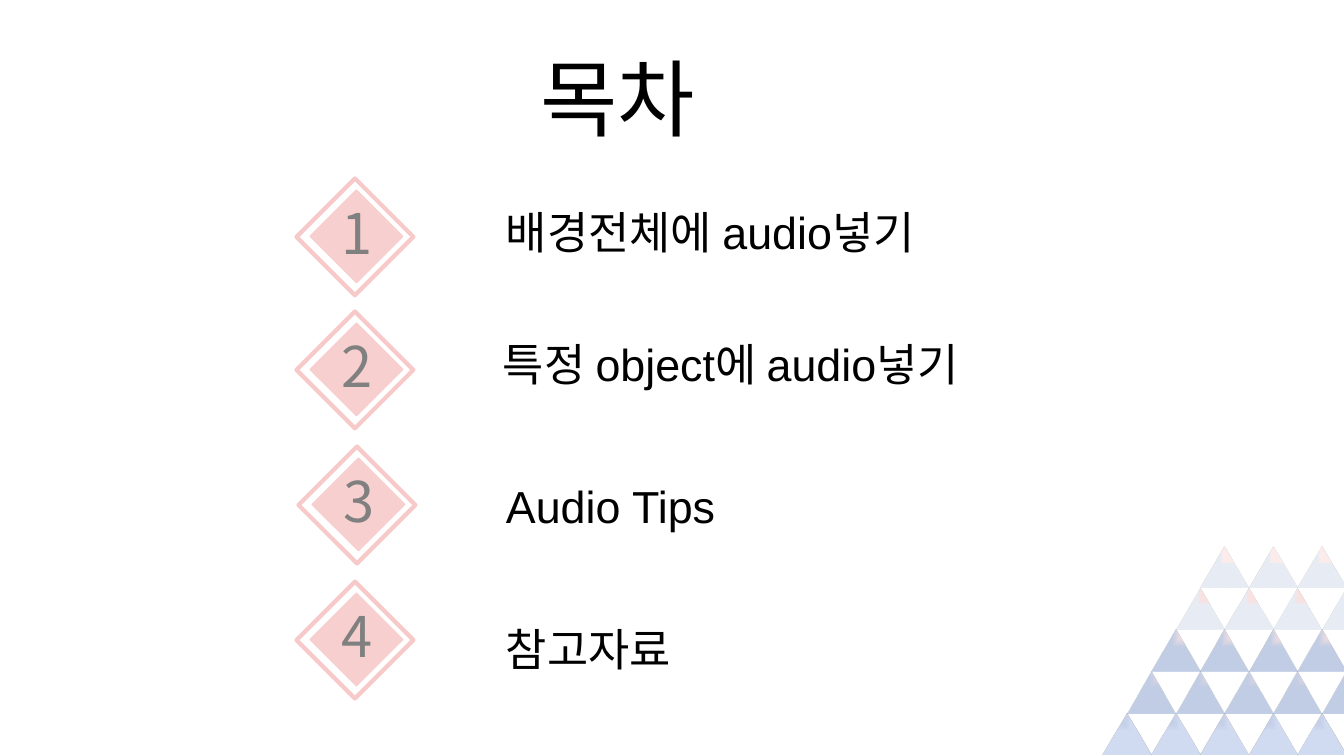
"""Build a contents slide with four numbered diamonds and a triangle corner."""
from lxml.etree import SubElement
from pptx import Presentation
from pptx.dml.color import RGBColor
from pptx.enum.shapes import MSO_SHAPE
from pptx.enum.text import MSO_ANCHOR
from pptx.oxml.ns import qn
from pptx.util import Inches, Pt

BLACK = RGBColor(0x00, 0x00, 0x00)
GRAY = RGBColor(0x80, 0x80, 0x80)
ROSE = RGBColor(0xF7, 0xCA, 0xC9)
ROSE_EDGE = RGBColor(0xF8, 0xCF, 0xCF)
ROSE_SOFT = RGBColor(0xF9, 0xD5, 0xD4)
ROSE_PALE = RGBColor(0xFA, 0xDD, 0xDC)
BLUE = RGBColor(0xA8, 0xB9, 0xDA)
BLUE_SOFT = RGBColor(0xD1, 0xDB, 0xF2)
BLUE_PALE = RGBColor(0xD9, 0xE1, 0xEF)

KOREAN_FONT = "Noto Sans CJK KR"
TITLE_FORMAT = {"size": Pt(60), "name": "Arial"}
ENTRY_FORMAT = {"size": Pt(32), "name": "Arial"}
NUMBER_FORMAT = {"size": Pt(40), "name": KOREAN_FONT}

TITLE = ("목차", 5.26, 0.41, 2.6, 1.11)
ENTRIES = [
    ("배경전체에 audio넣기", 4.92, 1.98, 3.11, 1.94),
    ("특정 object에 audio넣기", 4.89, 3.29, 3.11, 3.26),
    ("Audio Tips", 4.92, 4.7, 3.13, 4.6),
    ("참고자료", 4.92, 6.11, 3.11, 5.94),
]
TOP_LEFT = {"l": 0, "t": 0, "r": 100, "b": 100}
TOP_RIGHT = {"l": 100, "t": 0, "r": 0, "b": 100}
TRIANGLE_ROWS = [
    (5, TOP_LEFT, [(0, ROSE, 100), (45, BLUE, 70), (100, BLUE_SOFT, 100)]),
    (5, TOP_RIGHT, [(0, ROSE_SOFT, 70), (91, BLUE, 70)]),
    (4, TOP_RIGHT, [(51, ROSE_SOFT, 70), (100, BLUE, 70)]),
    (4, TOP_RIGHT, [(78, ROSE_SOFT, 70), (100, BLUE_PALE, 60)]),
    (3, TOP_RIGHT, [(94, ROSE_PALE, 55), (100, BLUE_PALE, 60)]),
]
TRIANGLE_LEFT, TRIANGLE_TOP = 10.94, 7.08
TRIANGLE_WIDTH, TRIANGLE_HEIGHT = 0.48, 0.41
COLUMN_STEP, ROW_STEP = 0.48, 0.41


def percent(value):
    return str(value * 1000)


def add_text(shapes, text, left, top, width, height, color, format_values):
    box = shapes.add_textbox(*map(Inches, (left, top, width, height)))
    frame = box.text_frame
    frame.word_wrap = True
    frame.vertical_anchor = MSO_ANCHOR.MIDDLE
    span = frame.paragraphs[0].add_run()
    span.text = text
    span.font.color.rgb = color
    for name, value in format_values.items():
        setattr(span.font, name, value)
    SubElement(span.font._element, qn("a:ea"), typeface=KOREAN_FONT)


def add_plain_shape(shapes, kind, left, top, width, height):
    shape = shapes.add_shape(kind, *map(Inches, (left, top, width, height)))
    shape.shadow.inherit = False
    return shape


def add_diamond(shapes, left, top, size, edge, weight):
    diamond = add_plain_shape(shapes, MSO_SHAPE.RECTANGLE, left, top, size, size)
    diamond.rotation = 45
    diamond.line.color.rgb = edge
    diamond.line.width = Pt(weight)
    return diamond


def add_badge(page, number, left, top):
    shapes = page.shapes.add_group_shape().shapes
    inner = add_diamond(shapes, left + 0.1, top + 0.08, 0.65, ROSE_EDGE, 1)
    inner.fill.solid()
    inner.fill.fore_color.rgb = ROSE
    color = inner.fill._xPr.find(qn("a:solidFill"))[0]
    SubElement(color, qn("a:alpha"), val=percent(90))
    add_diamond(shapes, left, top, 0.82, ROSE, 3).fill.background()
    add_text(shapes, str(number), left + 0.18, top - 0.02, 0.36, 0.77,
             GRAY, NUMBER_FORMAT)


def set_corner_gradient(shape, corner, stops):
    shape.fill.gradient()
    gradient = shape.fill._xPr.find(qn("a:gradFill"))
    for child in list(gradient):
        gradient.remove(child)
    stop_list = SubElement(gradient, qn("a:gsLst"))
    for position, color, opacity in stops:
        stop = SubElement(stop_list, qn("a:gs"), pos=percent(position))
        tint = SubElement(stop, qn("a:srgbClr"), val=str(color))
        SubElement(tint, qn("a:alpha"), val=percent(opacity))
    route = SubElement(gradient, qn("a:path"), path="rect")
    edges = {side: percent(value) for side, value in corner.items()}
    SubElement(route, qn("a:fillToRect"), **edges)


def add_triangles(page):
    shapes = page.shapes.add_group_shape().shapes
    for row, (count, corner, stops) in enumerate(TRIANGLE_ROWS):
        for column in range(count):
            left = TRIANGLE_LEFT + (column + row / 2) * (COLUMN_STEP + 0.003)
            top = TRIANGLE_TOP - row * (ROW_STEP + 0.005)
            triangle = add_plain_shape(shapes, MSO_SHAPE.ISOSCELES_TRIANGLE,
                                       left, top, TRIANGLE_WIDTH, TRIANGLE_HEIGHT)
            triangle.line.fill.background()
            set_corner_gradient(triangle, corner, stops)


def main():
    deck = Presentation()
    deck.slide_width, deck.slide_height = Inches(13.33), Inches(7.5)
    page = deck.slides.add_slide(deck.slide_layouts[6])
    add_text(page.shapes, *TITLE, BLACK, TITLE_FORMAT)
    add_triangles(page)
    for number, (text, left, top, badge_left, badge_top) in enumerate(ENTRIES, 1):
        add_badge(page, number, badge_left, badge_top)
        add_text(page.shapes, text, left, top, 5.97, 0.64, BLACK, ENTRY_FORMAT)
    deck.save("out.pptx")


if __name__ == "__main__":
    main()
